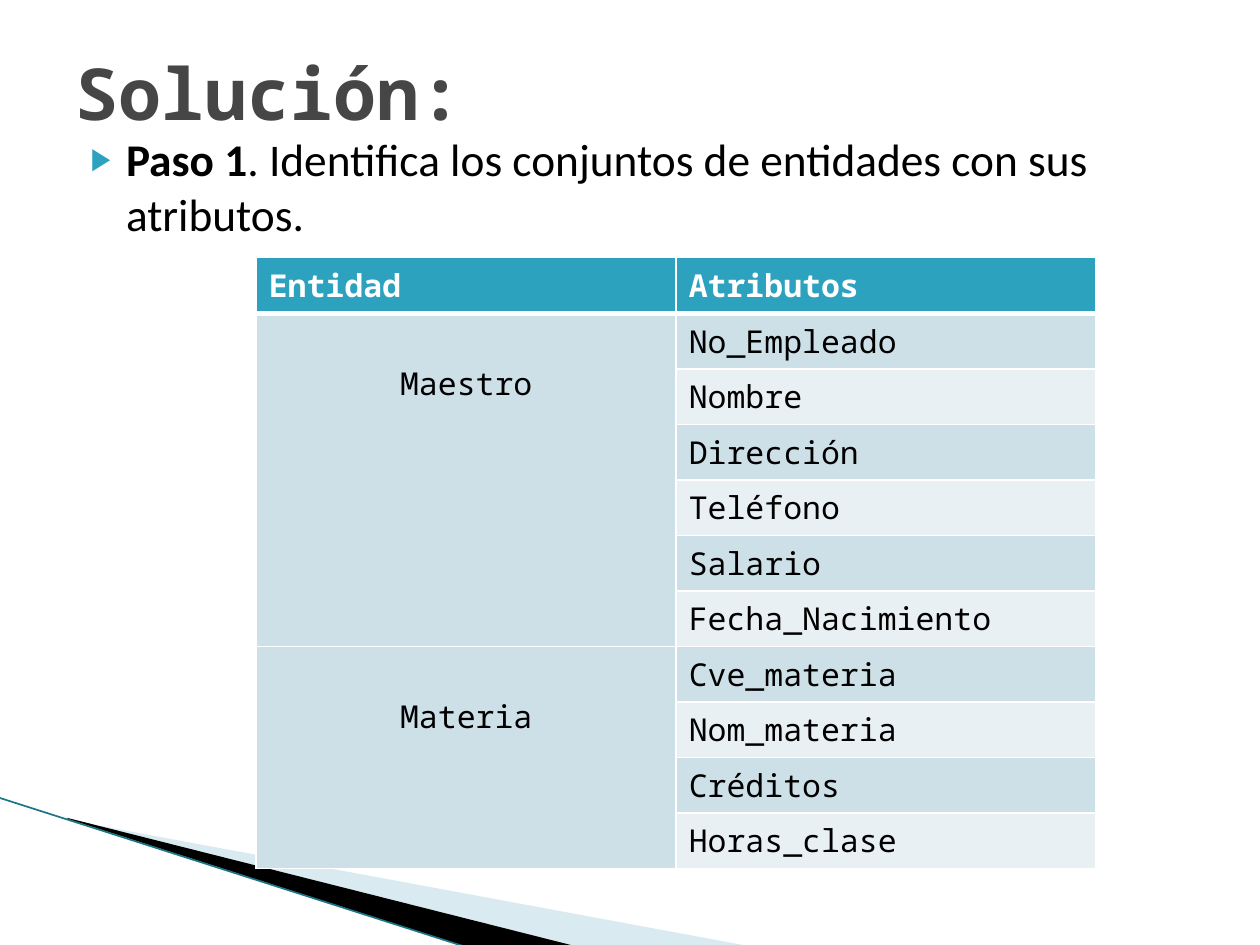
from lxml.etree import SubElement
from pptx import Presentation
from pptx.dml.color import RGBColor
from pptx.enum.shapes import MSO_CONNECTOR
from pptx.enum.text import MSO_ANCHOR, MSO_AUTO_SIZE, PP_ALIGN
from pptx.oxml.ns import qn
from pptx.util import Pt

MONO = "Noto Sans Mono"
ENTITIES = {
    "Maestro": ["No_Empleado", "Nombre", "Dirección", "Teléfono", "Salario",
                "Fecha_Nacimiento"],
    "Materia": ["Cve_materia", "Nom_materia", "Créditos", "Horas_clase"],
}


def color(value):
    return RGBColor.from_string(value)


def add_text(para, text, font=MONO, size=18, fill="000000", bold=False):
    span = para.add_run()
    span.text = text
    span.font.name = font
    span.font.size = Pt(size)
    span.font.bold = bold
    span.font.color.rgb = color(fill)


def place(shape, box):
    shape.left, shape.top, shape.width, shape.height = map(Pt, box)


def add_wedge(page, box, points, fill, opacity=None):
    """Draw a polygon that reaches beyond its frame, the box."""
    corners = [(Pt(x), Pt(y)) for x, y in points]
    builder = page.shapes.build_freeform(*corners[0])
    builder.add_line_segments(corners[1:], close=True)
    wedge = builder.convert_to_shape()
    # Keep the points where they are while the frame becomes the box
    shift_x, shift_y = wedge.left - Pt(box[0]), wedge.top - Pt(box[1])
    place(wedge, box)
    outline = wedge._element.spPr.find(".//" + qn("a:path"))
    outline.set("w", str(wedge.width))
    outline.set("h", str(wedge.height))
    for point in outline.iter(qn("a:pt")):
        point.set("x", str(int(point.get("x")) + shift_x))
        point.set("y", str(int(point.get("y")) + shift_y))
    wedge.shadow.inherit = False
    wedge.fill.solid()
    wedge.fill.fore_color.rgb = color(fill)
    wedge.line.fill.background()
    if opacity is not None:
        tone = wedge._element.spPr.find(".//" + qn("a:srgbClr"))
        SubElement(tone, qn("a:alpha"), val=str(opacity * 1000))


def add_corner(page, box):
    """Decorate the lower left corner of the page."""
    left, top, width, height = box
    add_wedge(page, (left + 56.2, top - 62, 299.5, 113.8),
              [(left + x, top + y) for x, y in
               ((39.6, 12.9), (428.4, 84.9), (328.3, 84.9), (39.6, 12.2))],
              "A0CBDC", opacity=40)
    add_wedge(page, (left - 4.3, top, 299.5, 66.2),
              [(left + x, top + y) for x, y in
               ((38.2, 11.5), (329, 84.9), (267.8, 85.6), (38.9, 12.2))],
              "000000")
    edge = page.shapes.add_connector(
        MSO_CONNECTOR.STRAIGHT, Pt(left - 0.7), Pt(top),
        Pt(left + width), Pt(top + height))
    edge.line.width = Pt(0.95)
    edge.line.color.rgb = color("1B7587")
    SubElement(edge._element.spPr, qn("a:effectLst"))


def fill_title(page, box):
    title = page.shapes.title
    place(title, box)
    frame = title.text_frame
    frame.auto_size = MSO_AUTO_SIZE.NONE
    frame.vertical_anchor = MSO_ANCHOR.MIDDLE
    para = frame.paragraphs[0]
    para.alignment = PP_ALIGN.LEFT
    add_text(para, "Solución:", size=41, fill="464646", bold=True)


def fill_body(page, box):
    body = page.placeholders[1]
    place(body, box)
    frame = body.text_frame
    frame.auto_size = MSO_AUTO_SIZE.NONE
    para = frame.paragraphs[0]
    para.space_before = Pt(4)
    add_text(para, "Paso 1", font="Calibri", size=25.9, bold=True)
    add_text(para, ". Identifica los conjuntos de entidades con sus atributos.",
             font="Calibri", size=25.9)
    # Coloured triangle bullet with a hanging indent
    props = para._p.get_or_add_pPr()
    props.set("marL", str(Pt(28.8)))
    props.set("indent", str(-Pt(20.16)))
    SubElement(SubElement(props, qn("a:buClr")), qn("a:srgbClr"), val="2DA2BF")
    SubElement(props, qn("a:buSzPct"), val="68000")
    SubElement(props, qn("a:buChar"), char="▶")


def format_cell(cell, fill, top=1, bottom=1):
    props = cell._tc.get_or_add_tcPr()
    for side, width in (("L", 1), ("R", 1), ("T", top), ("B", bottom)):
        line = SubElement(props, qn("a:ln" + side), w=str(Pt(width)))
        SubElement(SubElement(line, qn("a:solidFill")), qn("a:srgbClr"),
                   val="FFFFFF")
    cell.fill.solid()
    cell.fill.fore_color.rgb = color(fill)


def add_entity_table(page, box):
    rows = 1 + sum(map(len, ENTITIES.values()))
    table = page.shapes.add_table(rows, 2, *map(Pt, box)).table
    # Header row
    for column, text in enumerate(("Entidad", "Atributos")):
        cell = table.cell(0, column)
        format_cell(cell, "2DA2BF", bottom=3)
        add_text(cell.text_frame.paragraphs[0], text, fill="FFFFFF", bold=True)
    # One merged entity cell beside its attributes
    row = 1
    for entity, attributes in ENTITIES.items():
        first = table.cell(row, 0)
        first.merge(table.cell(row + len(attributes) - 1, 0))
        first.margin_top = Pt(28)
        para = first.text_frame.paragraphs[0]
        para.alignment = PP_ALIGN.CENTER
        add_text(para, entity)
        for attribute in attributes:
            top = 3 if row == 1 else 1
            format_cell(table.cell(row, 0), "CDE0E8", top=top)
            cell = table.cell(row, 1)
            format_cell(cell, "CDE0E8" if row % 2 else "E8F0F4", top=top)
            add_text(cell.text_frame.paragraphs[0], attribute)
            row += 1


def main():
    deck = Presentation()
    deck.slide_width, deck.slide_height = Pt(720), Pt(540)
    page = deck.slides.add_slide(deck.slide_layouts[1])
    add_corner(page, (0, 455.8, 267.1, 85.6))
    fill_body(page, (36, 71.5, 648, 67.7))
    fill_title(page, (36, 21.6, 648, 61.2))
    add_entity_table(page, (146.4, 147.3, 480, 321.2))
    deck.save("out.pptx")


if __name__ == "__main__":
    main()
